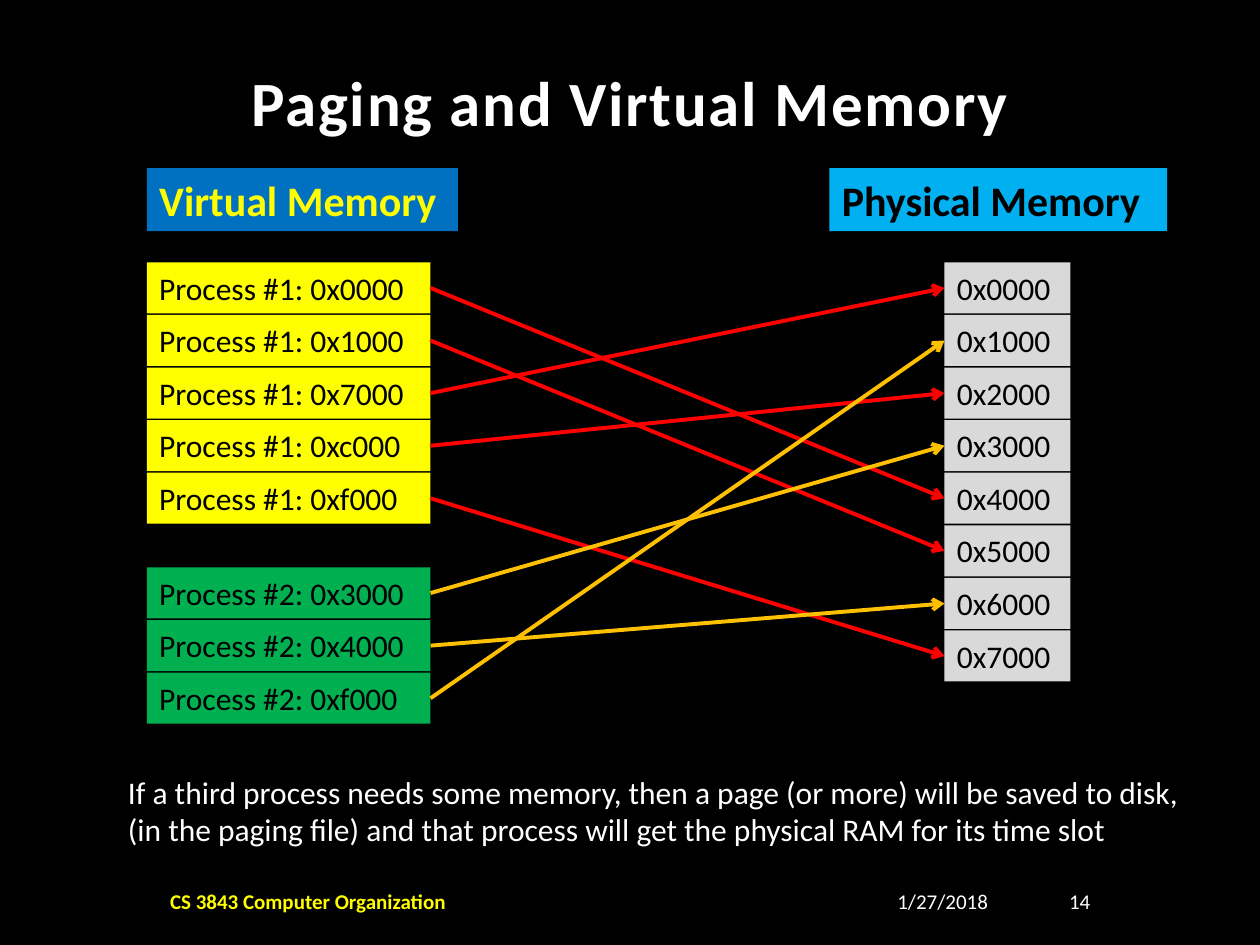
from pptx import Presentation
from pptx.dml.color import RGBColor
from pptx.enum.shapes import MSO_CONNECTOR, MSO_SHAPE
from pptx.enum.text import MSO_ANCHOR, MSO_AUTO_SIZE, PP_ALIGN
from pptx.oxml.ns import qn
from pptx.util import Cm, Pt
from lxml import etree

RECT = MSO_SHAPE.RECTANGLE
STRAIGHT = MSO_CONNECTOR.STRAIGHT
TOP, MIDDLE, BOTTOM = MSO_ANCHOR.TOP, MSO_ANCHOR.MIDDLE, MSO_ANCHOR.BOTTOM
LEFT, CENTER, RIGHT = PP_ALIGN.LEFT, PP_ALIGN.CENTER, PP_ALIGN.RIGHT
NO_FIT = MSO_AUTO_SIZE.NONE

FONT = "Calibri"
BLACK, WHITE, YELLOW = "000000", "FFFFFF", "FFFF00"
GREEN, GRAY, RED, ORANGE = "00B050", "D9D9D9", "FF0000", "FFC000"
BLUE, SKY = "0070C0", "00B0F0"
PITCH, ROW = 1.06, 1.03
LEFT_SIDE, RIGHT_SIDE = 1, 3

# Virtual pages of each process, with the physical frame each one maps to
PROC_1 = [("0x0000", 4), ("0x1000", 5), ("0x7000", 0), ("0xc000", 2), ("0xf000", 7)]
PROC_2 = [("0x3000", 3), ("0x4000", 6), ("0xf000", 1)]


def color(code):
    return RGBColor.from_string(code)


def write(shape, text, size, ink, bold=False, align=LEFT, anchor=TOP):
    frame = shape.text_frame
    frame.word_wrap = True
    frame.auto_size = NO_FIT
    frame.vertical_anchor = anchor
    para = frame.paragraphs[0]
    para.alignment = align
    run = para.add_run()
    run.text = text
    font = run.font
    font.name, font.size, font.bold = FONT, Pt(size), bold
    font.color.rgb = color(ink)
    return para, run


def add_label(slide, box, text, size, ink, **style):
    label = slide.shapes.add_textbox(*map(Cm, box))
    write(label, text, size, ink, **style)


def add_block(slide, box, text, fill, size=18, ink=BLACK, bold=False):
    block = slide.shapes.add_shape(RECT, *map(Cm, box))
    block.shadow.inherit = False
    block.fill.solid()
    block.fill.fore_color.rgb = color(fill)
    block.line.fill.background()
    write(block, text, size, ink, bold)
    return block


def add_stack(slide, box, names, fill):
    """Stack one block per name downwards and return the blocks."""
    x, y, w = box
    return [add_block(slide, (x, y + i * PITCH, w, ROW), name, fill)
            for i, name in enumerate(names)]


def add_arrow(slide, page, frame, ink):
    arrow = slide.shapes.add_connector(STRAIGHT, 0, 0, 0, 0)
    arrow.begin_connect(page, RIGHT_SIDE)
    arrow.end_connect(frame, LEFT_SIDE)
    arrow.line.color.rgb = color(ink)
    arrow.line.width = Pt(2.25)
    etree.SubElement(arrow.line._get_or_add_ln(), qn("a:tailEnd"), type="arrow")
    etree.SubElement(arrow._element.spPr, qn("a:effectLst"))


def add_title(slide, box, text):
    title = slide.shapes.title
    title.left, title.top, title.width, title.height = map(Cm, box)
    para, run = write(title, text, 36, WHITE, True, CENTER, BOTTOM)
    para.line_spacing = 0.9
    run.font._element.set("spc", "100")


def add_map(slide, box):
    """Draw both memories side by side and the arrows between their pages."""
    x, y, w = box
    add_block(slide, (x, y, 6.27, 1.27), "Virtual Memory", BLUE, 24, YELLOW, True)
    add_block(slide, (x + w - 6.81, y, 6.81, 1.27), "Physical Memory", SKY, 24, BLACK, True)

    top = y + 1.9
    frames = add_stack(slide, (x + 16.08, top, 2.54),
                       [f"0x{i}000" for i in range(8)], GRAY)
    procs = [(1, top, PROC_1, YELLOW, RED), (2, top + 6.15, PROC_2, GREEN, ORANGE)]
    for num, start, table, fill, ink in procs:
        names = [f"Process #{num}: {page}" for page, _ in table]
        pages = add_stack(slide, (x, start, 5.72), names, fill)
        for page, (_, target) in zip(pages, table):
            add_arrow(slide, page, frames[target], ink)


def add_footer(slide, box):
    x, y, w, h = box
    add_label(slide, (x, y, 13.67, h), "CS 3843 Computer Organization", 12, YELLOW,
              bold=True, anchor=MIDDLE)
    add_label(slide, (x + 13.97, y, 3.02, h), "1/27/2018", 12, WHITE,
              align=RIGHT, anchor=MIDDLE)
    add_label(slide, (x + w - 1.75, y, 1.75, h), "14", 12, WHITE,
              align=RIGHT, anchor=MIDDLE)


def main():
    deck = Presentation()
    deck.slide_width, deck.slide_height = Cm(25.4), Cm(19.05)
    slide = deck.slides.add_slide(deck.slide_layouts[5])
    back = slide.background.fill
    back.solid()
    back.fore_color.rgb = color(BLACK)

    add_title(slide, (3.18, 1.06, 19.05, 1.9), "Paging and Virtual Memory")
    add_map(slide, (2.96, 3.39, 20.57))
    add_label(slide, (2.33, 15.45, 21.8, 1.8),
              "If a third process needs some memory, then a page (or more) will be "
              "saved to disk, (in the paging file) and that process will get the "
              "physical RAM for its time slot", 18, WHITE)
    add_footer(slide, (3.18, 17.78, 19.05, 0.76))
    deck.save("out.pptx")


if __name__ == "__main__":
    main()
